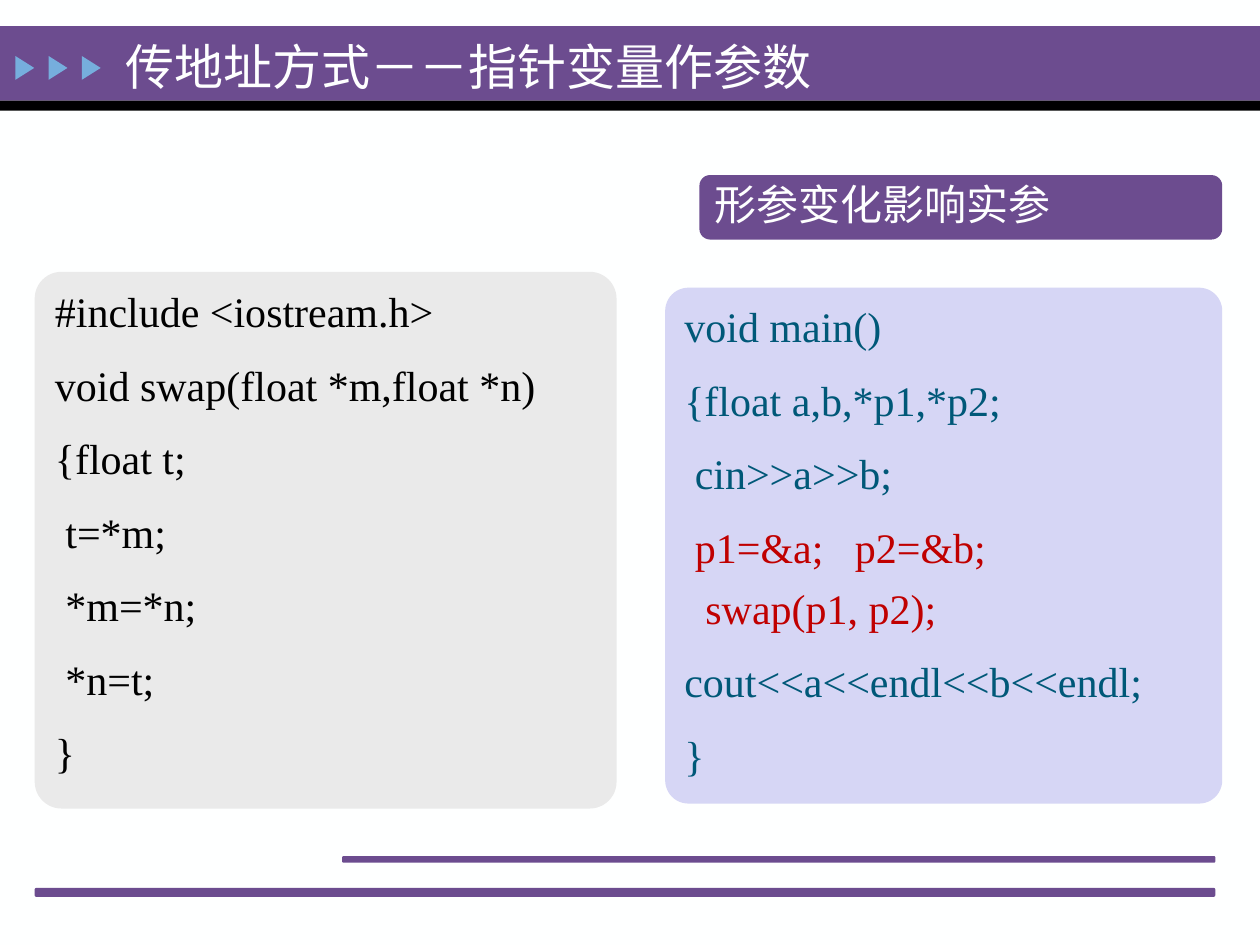
"""Build a slide on passing pointers as function arguments."""
from pptx import Presentation
from pptx.dml.color import RGBColor
from pptx.enum.shapes import MSO_SHAPE as Preset
from pptx.enum.text import MSO_ANCHOR as Anchor, PP_ALIGN as Align
from pptx.util import Cm, Pt

PURPLE = RGBColor(0x6C, 0x4C, 0x8F)
SKY = RGBColor(0x76, 0xAE, 0xDD)
LAVENDER = RGBColor(0xD6, 0xD6, 0xF5)
GREY = RGBColor(0xEA, 0xEA, 0xEA)
OFF_WHITE = RGBColor(0xFE, 0xFF, 0xFF)
BLACK = RGBColor(0, 0, 0)
TEAL = RGBColor(0, 0x58, 0x78)
RED = RGBColor(0xC0, 0, 0)
FONT = "Times New Roman"
WIDE_GAP, NARROW_GAP = 13.2, 6

SWAP_CODE = [
    "#include <iostream.h>",
    "void swap(float *m,float *n)",
    "{float t;",
    " t=*m;",
    " *m=*n;",
    " *n=t;",
    "}",
]
MAIN_CODE = [
    "void main()",
    "{float a,b,*p1,*p2;",
    " cin>>a>>b;",
    " p1=&a;   p2=&b;",
    "  swap(p1, p2);",
    "cout<<a<<endl<<b<<endl;",
    "}",
]


def add_block(slide, preset, box, color, corner=None):
    shape = slide.shapes.add_shape(preset, *map(Cm, box))
    shape.shadow.inherit = False
    shape.fill.solid()
    shape.fill.fore_color.rgb = color
    shape.line.fill.background()
    if corner is not None:
        shape.adjustments[0] = corner
    return shape


def write_lines(shape, lines, color, size=24, anchor=Anchor.TOP):
    frame = shape.text_frame
    frame.word_wrap = True
    frame.vertical_anchor = anchor
    for index, line in enumerate(lines):
        paragraph = frame.add_paragraph() if index else frame.paragraphs[0]
        paragraph.text = line
        paragraph.alignment = Align.LEFT
        paragraph.space_before = Pt(WIDE_GAP if index else 0)
        paragraph.font.name = FONT
        paragraph.font.size = Pt(size)
        paragraph.font.color.rgb = color
    return frame.paragraphs


def add_header(slide):
    add_block(slide, Preset.RECTANGLE, (0, 0.53, 25.4, 1.5), PURPLE)
    add_block(slide, Preset.RECTANGLE, (0, 2.03, 25.4, 0.2), BLACK)
    for index in range(3):
        box = (0.26 + 0.67 * index, 1.18, 0.48, 0.38)
        add_block(slide, Preset.ISOSCELES_TRIANGLE, box, SKY).rotation = 90
    title = slide.shapes.add_textbox(Cm(2.29), Cm(0.15), Cm(19.25), Cm(2.36))
    write_lines(title, ["传地址方式－－指针变量作参数"], OFF_WHITE, 28, Anchor.MIDDLE)


def add_main_code(slide):
    box = (13.41, 5.8, 11.23, 10.4)
    panel = add_block(slide, Preset.ROUNDED_RECTANGLE, box, LAVENDER, 0.045)
    paragraphs = write_lines(panel, MAIN_CODE, TEAL)
    for paragraph in paragraphs[3:5]:
        paragraph.font.color.rgb = RED
    paragraphs[4].alignment = Align.JUSTIFY
    paragraphs[4].space_before = Pt(NARROW_GAP)


def add_swap_code(slide):
    box = (0.7, 5.48, 11.73, 10.82)
    panel = add_block(slide, Preset.ROUNDED_RECTANGLE, box, GREY, 0.05)
    write_lines(panel, SWAP_CODE, BLACK)


def add_conclusion(slide):
    box = (14.1, 3.53, 10.54, 1.3)
    label = add_block(slide, Preset.ROUNDED_RECTANGLE, box, PURPLE)
    write_lines(label, ["形参变化影响实参"], OFF_WHITE)[0].line_spacing = 0.9


def add_footer(slide):
    for box in ((6.9, 17.26, 17.6, 0.13), (0.7, 17.9, 23.8, 0.18)):
        add_block(slide, Preset.ROUNDED_RECTANGLE, box, PURPLE)


def main():
    presentation = Presentation()
    presentation.slide_width = Cm(25.4)
    presentation.slide_height = Cm(19.05)
    slide = presentation.slides.add_slide(presentation.slide_layouts[6])
    slide.background.fill.solid()
    slide.background.fill.fore_color.rgb = OFF_WHITE
    add_header(slide)
    add_main_code(slide)
    add_swap_code(slide)
    add_conclusion(slide)
    add_footer(slide)
    presentation.save("out.pptx")


if __name__ == "__main__":
    main()
